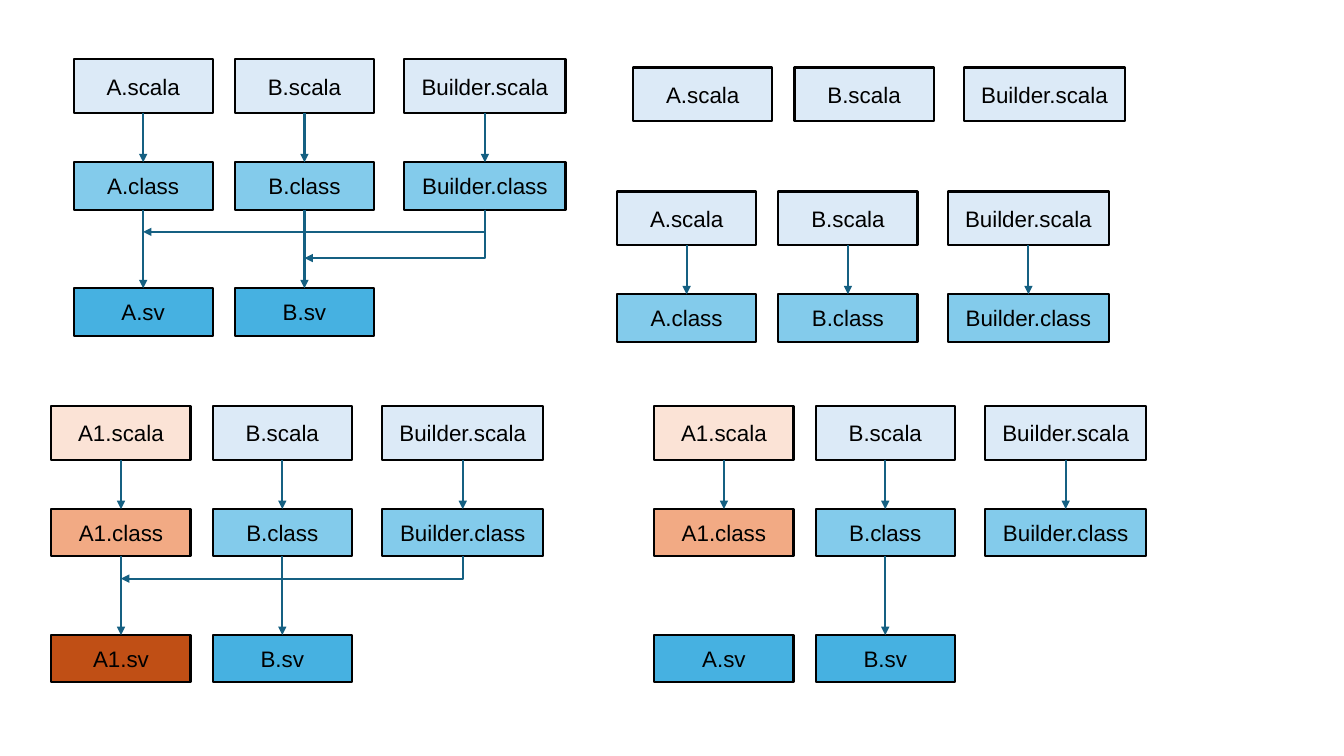
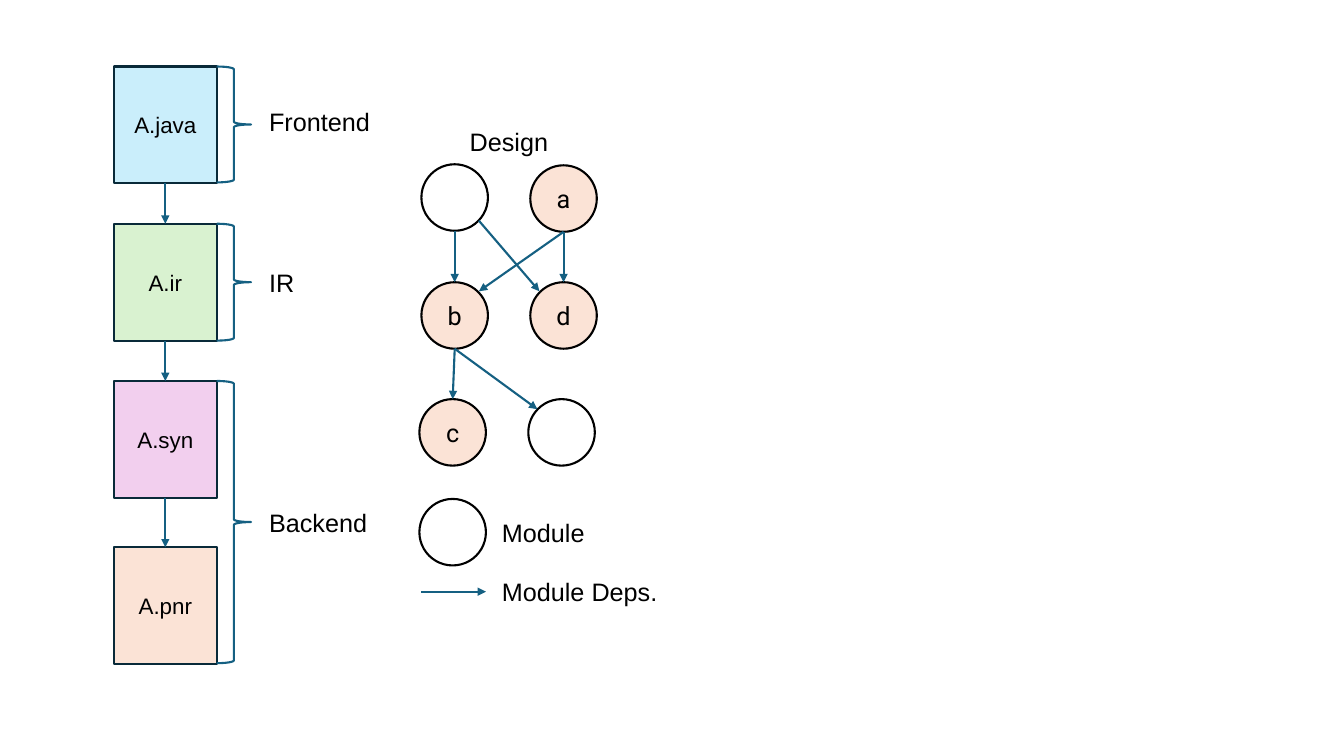
import pptx
import pptx.util
import pptx.dml.color
import pptx.enum.shapes
import pptx.enum.text
import pptx.oxml
import pptx.oxml.ns
import lxml.etree

Inches = pptx.util.Inches
RGBColor = pptx.dml.color.RGBColor
FORM = pptx.enum.shapes.MSO_SHAPE
WIRE = pptx.enum.shapes.MSO_CONNECTOR
ALIGN = pptx.enum.text.PP_ALIGN
qn = pptx.oxml.ns.qn

BLACK = RGBColor(0x00, 0x00, 0x00)
TEAL = RGBColor(0x15, 0x60, 0x82)
NAVY = RGBColor(0x09, 0x2A, 0x39)
PEACH = RGBColor(0xFB, 0xE3, 0xD6)
CORAL = RGBColor(0xF2, 0xAA, 0x84)
RUST = RGBColor(0xC0, 0x4F, 0x15)
PALE = RGBColor(0xDC, 0xEA, 0xF7)
SKY = RGBColor(0x83, 0xCB, 0xEB)
BLUE = RGBColor(0x46, 0xB1, 0xE1)
ICE = RGBColor(0xCA, 0xEE, 0xFB)
GREEN = RGBColor(0xD9, 0xF2, 0xD0)
PINK = RGBColor(0xF2, 0xCF, 0xEE)


def put(page, text, left, top, width, height, form=None, fill=None,
        line=BLACK, size=16, font="Arial"):
    area = [Inches(n) for n in (left, top, width, height)]
    if form is None:
        shape = page.shapes.add_textbox(*area)
        shape.text_frame.word_wrap = False
        shape.text_frame.auto_size = pptx.enum.text.MSO_AUTO_SIZE.SHAPE_TO_FIT_TEXT
    else:
        shape = page.shapes.add_shape(form, *area)
        shape.shadow.inherit = False
        shape.line.color.rgb = line
        shape.line.width = pptx.util.Pt(1.5)
        if fill is None:
            shape.fill.background()
        else:
            shape.fill.solid()
            shape.fill.fore_color.rgb = fill
    if text:
        para = shape.text_frame.paragraphs[0]
        para.alignment = ALIGN.LEFT if form is None else ALIGN.CENTER
        run = para.add_run()
        run.text = text
        run.font.size = pptx.util.Pt(size)
        run.font.name = font
        run.font.color.rgb = BLACK
    return shape


def link(page, start, end, ends=None, bent=False):
    kind = WIRE.ELBOW if bent else WIRE.STRAIGHT
    wire = page.shapes.add_connector(kind, *[Inches(n) for n in (*start, *end)])
    if ends:
        wire.begin_connect(ends[0], 2)
        wire.end_connect(ends[1], 0)
    wire.line.color.rgb = TEAL
    wire.line.width = pptx.util.Pt(1.5)
    props = wire.element.spPr
    lxml.etree.SubElement(props.find(qn("a:ln")), qn("a:tailEnd"), type="triangle")
    lxml.etree.SubElement(props, qn("a:effectLst"))
    if bent:
        guides = props.find(qn("a:prstGeom")).find(qn("a:avLst"))
        lxml.etree.SubElement(guides, qn("a:gd"), name="adj1", fmla="val 0")


deck = pptx.Presentation()
deck.slide_width = Inches(13.33)
deck.slide_height = Inches(7.5)
blank = deck.slide_layouts[6]

page = deck.slides.add_slide(blank)
cols = [(0, 1.38), (1.6, 1.38), (3.28, 1.6)]
rows = [("scala", 0, 0.53, PALE, PEACH),
        ("class", 1.02, 0.47, SKY, CORAL),
        ("sv", 2.27, 0.47, BLUE, RUST)]
panels = [(0.73, 0.59, ["A", "A", "A"], [(0, 0.22), (1, 0.48)]),
          (6.28, 0.67, ["A"], []),
          (6.12, 1.9, ["A", "A"], []),
          (6.49, 4.03, ["A1", "A1", "A"], []),
          (0.51, 4.03, ["A1", "A1", "A1"], [(0, 0.22)])]
for left, top, chain, feeds in panels:
    mids = [left + shift + width / 2 for shift, width in cols]
    for col, (shift, width) in enumerate(cols):
        names = [chain, ["B"] * len(chain), ["Builder"] * min(len(chain), 2)][col]
        last = None
        for row, name in enumerate(names):
            kind, drop, height, cool, warm = rows[row]
            box = put(page, f"{name}.{kind}", left + shift, top + drop, width, height,
                      form=FORM.RECTANGLE, fill=warm if name == "A1" else cool)
            if last and names[row - 1] == name:
                link(page, (0, 0), (0, 0), ends=(last, box))
            last = box
    base = top + rows[1][1] + rows[1][2]
    for col, drop in feeds:
        link(page, (mids[2], base), (mids[col], base + drop), bent=True)

page = deck.slides.add_slide(blank)
stages = [("A.java", 0.66, ICE), ("A.ir", 2.22, GREEN),
          ("A.syn", 3.78, PINK), ("A.pnr", 5.43, PEACH)]
last = None
for text, top, fill in stages:
    box = put(page, text, 1.13, top, 1.02, 1.16, form=FORM.RECTANGLE,
              fill=fill, line=NAVY)
    if last:
        link(page, (0, 0), (0, 0), ends=(last, box))
    last = box

for top, height in [(0.66, 1.15), (2.22, 1.16), (3.78, 2.8)]:
    brace = put(page, "", 2.15, top, 0.34, height, form=FORM.RIGHT_BRACE, line=TEAL)
    brace.adjustments[0] = 0.08
    brace.adjustments[1] = 0.5

labels = [("Frontend", 2.57, 1.01, 1.21), ("IR", 2.57, 2.6, 0.45),
          ("Backend", 2.57, 4.98, 1.18), ("Design", 4.56, 1.2, 0.99),
          ("Module", 4.88, 5.08, 1.02), ("Module Deps.", 4.88, 5.67, 1.76)]
for text, left, top, width in labels:
    put(page, text, left, top, width, 0.4, size=18)

nodes = [("", 4.18, 1.63), ("a", 5.26, 1.64), ("b", 4.18, 2.8), ("d", 5.26, 2.8),
         ("c", 4.16, 3.96), ("", 5.24, 3.96), ("", 4.16, 4.95)]
for text, left, top in nodes:
    put(page, text, left, top, 0.66, 0.66, form=FORM.OVAL,
        fill=PEACH if text else None, size=18, font="Roboto")

deps = [((4.75, 2.19), (5.35, 2.89)), ((4.51, 2.29), (4.51, 2.8)),
        ((5.59, 2.3), (4.75, 2.89)), ((5.59, 2.3), (5.59, 2.8)),
        ((4.51, 3.46), (4.49, 3.96)), ((4.51, 3.46), (5.33, 4.06)),
        ((4.18, 5.87), (4.82, 5.87))]
for start, end in deps:
    link(page, start, end)

deck.save("out.pptx")
